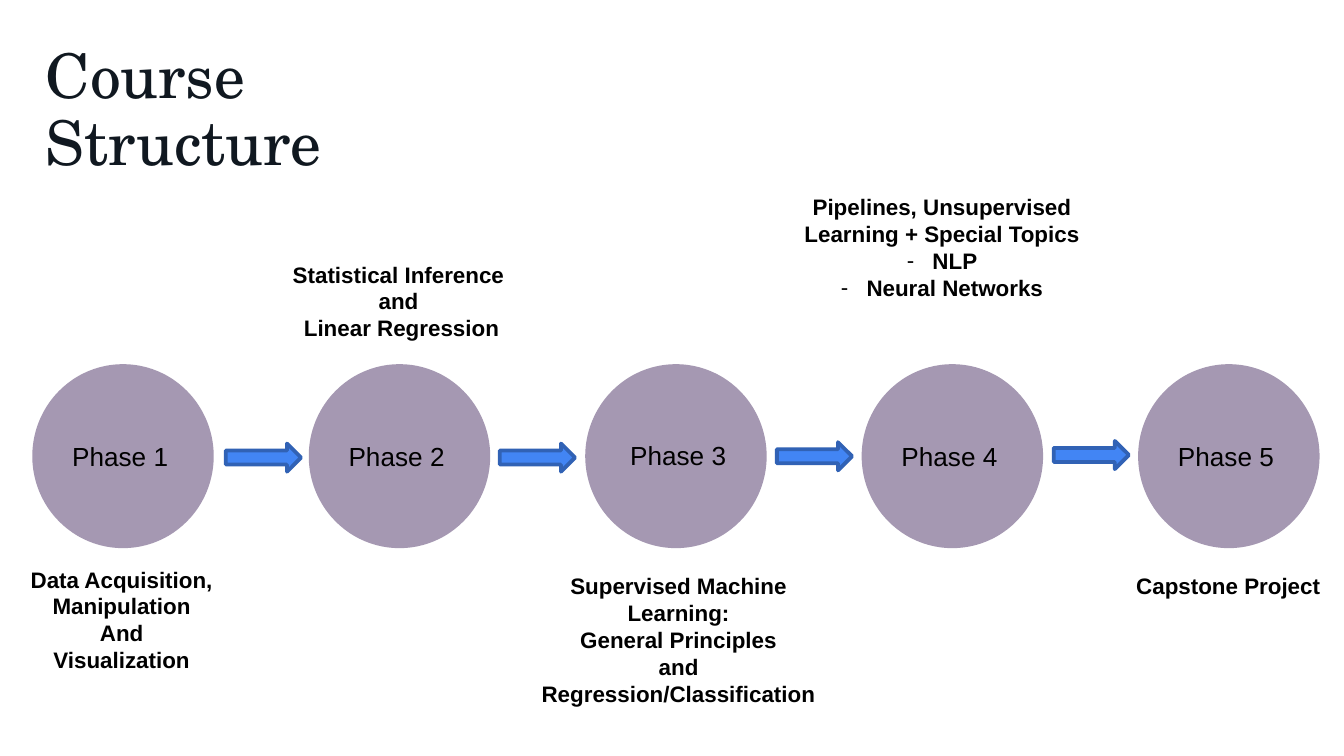
"""Build the course structure slide: five phases joined by arrows."""
from lxml import etree
from pptx import Presentation
from pptx.dml.color import RGBColor
from pptx.enum.shapes import MSO_SHAPE
from pptx.enum.text import MSO_ANCHOR, MSO_AUTO_SIZE, PP_ALIGN
from pptx.oxml.ns import qn
from pptx.util import Pt

OVAL, ARROW = MSO_SHAPE.OVAL, MSO_SHAPE.RIGHT_ARROW
TOP, MIDDLE = MSO_ANCHOR.TOP, MSO_ANCHOR.MIDDLE
LEFT, CENTER = PP_ALIGN.LEFT, PP_ALIGN.CENTER
FIXED, GROW = MSO_AUTO_SIZE.NONE, MSO_AUTO_SIZE.SHAPE_TO_FIT_TEXT

COLORS = {"title": "101820", "text": "000000", "circle": "A598B2",
          "arrow": "4285F4", "edge": "3162B5"}
SANS, SERIF = "Arial", "TeX Gyre Schola"
INSET = 7.2
START, PITCH = 17.3, 148.1
ARROW_TOPS = [237.6, 237.6, 236.9, 236.2]
ARROW_LEFTS = [121, 267.8, 416.2, 564.5]
LABELS = [
    ((2.9, 299.5, 124.6, 65.5),
     ["Data Acquisition, Manipulation", "And", "Visualization"]),
    ((146.9, 136.1, 133.2, 51.1),
     ["Statistical Inference", "and", " Linear Regression"]),
    ((282.2, 303.1, 162.7, 79.9),
     ["Supervised Machine Learning:", "General Principles", "and",
      "Regression/Classification"]),
    ((414, 100.1, 181.4, 65.5),
     ["Pipelines, Unsupervised Learning + Special Topics", "- NLP",
      "- Neural Networks"]),
    ((576.7, 303.1, 162.7, 21.6), ["Capstone Project"]),
]


def color(name):
    return RGBColor.from_string(COLORS[name])


def set_frame(frame, anchor, fit):
    frame.word_wrap = True
    frame.auto_size = fit
    frame.vertical_anchor = anchor
    frame.margin_left = frame.margin_right = Pt(INSET)
    frame.margin_top = frame.margin_bottom = Pt(INSET)


def style(para, size, align=LEFT, bold=False, face=SANS, tone="text"):
    para.alignment = align
    for run in para.runs:
        font = run.font
        font.name, font.size, font.bold = face, Pt(size), bold
        font.color.rgb = color(tone)


def add_dash(para):
    props = para._p.get_or_add_pPr()
    props.set("marL", str(Pt(13.7)))
    props.set("indent", str(-Pt(13.7)))
    tint = etree.SubElement(props, qn("a:buClr"))
    etree.SubElement(tint, qn("a:srgbClr"), val=COLORS["text"])
    etree.SubElement(props, qn("a:buFont"), typeface=SANS)
    etree.SubElement(props, qn("a:buChar"), char="-")


def add_title(slide, text):
    title = slide.shapes.title
    title.left, title.top = Pt(START), Pt(START)
    title.width, title.height = Pt(226.8), Pt(120.2)
    frame = title.text_frame
    frame.text = text
    set_frame(frame, TOP, FIXED)
    para = frame.paragraphs[0]
    para.line_spacing = 0.9
    style(para, 33, face=SERIF, tone="title")


def add_shape(slide, kind, box, fill):
    shape = slide.shapes.add_shape(kind, *map(Pt, box))
    shape.shadow.inherit = False
    shape.fill.solid()
    shape.fill.fore_color.rgb = color(fill)
    return shape


def add_circle(slide, left, text):
    circle = add_shape(slide, OVAL, (left, 195.1, 97.2, 98.6), "circle")
    circle.line.fill.background()
    if text:
        frame = circle.text_frame
        frame.text = text
        set_frame(frame, MIDDLE, FIXED)
        style(frame.paragraphs[0], 14)


def add_arrow(slide, left, top):
    arrow = add_shape(slide, ARROW, (left, top, 40.3, 15.1), "arrow")
    arrow.line.color.rgb = color("edge")
    arrow.line.width = Pt(2)


def add_label(slide, box, lines, size=12, align=CENTER, bold=True):
    frame = slide.shapes.add_textbox(*map(Pt, box)).text_frame
    set_frame(frame, TOP, GROW)
    frame.margin_top = frame.margin_bottom = Pt(3.6)
    frame.text = "\n".join(line.removeprefix("- ") for line in lines)
    for para, line in zip(frame.paragraphs, lines):
        if line.startswith("- "):
            add_dash(para)
        style(para, size, align, bold)


def main():
    deck = Presentation()
    deck.slide_width, deck.slide_height = Pt(720), Pt(405)
    slide = deck.slides.add_slide(deck.slide_layouts[0])
    hint = slide.placeholders[1].element
    hint.getparent().remove(hint)
    add_title(slide, "Course Structure")
    for index in range(5):
        text = "" if index == 2 else f"Phase {index + 1}"
        add_circle(slide, START + index * PITCH, text)
    add_label(slide, (330.5, 231.8, 360, 24.5), ["Phase 3"], 14, LEFT, False)
    for box, lines in LABELS:
        add_label(slide, box, lines)
    for left, top in zip(ARROW_LEFTS, ARROW_TOPS):
        add_arrow(slide, left, top)
    deck.save("out.pptx")


if __name__ == "__main__":
    main()
